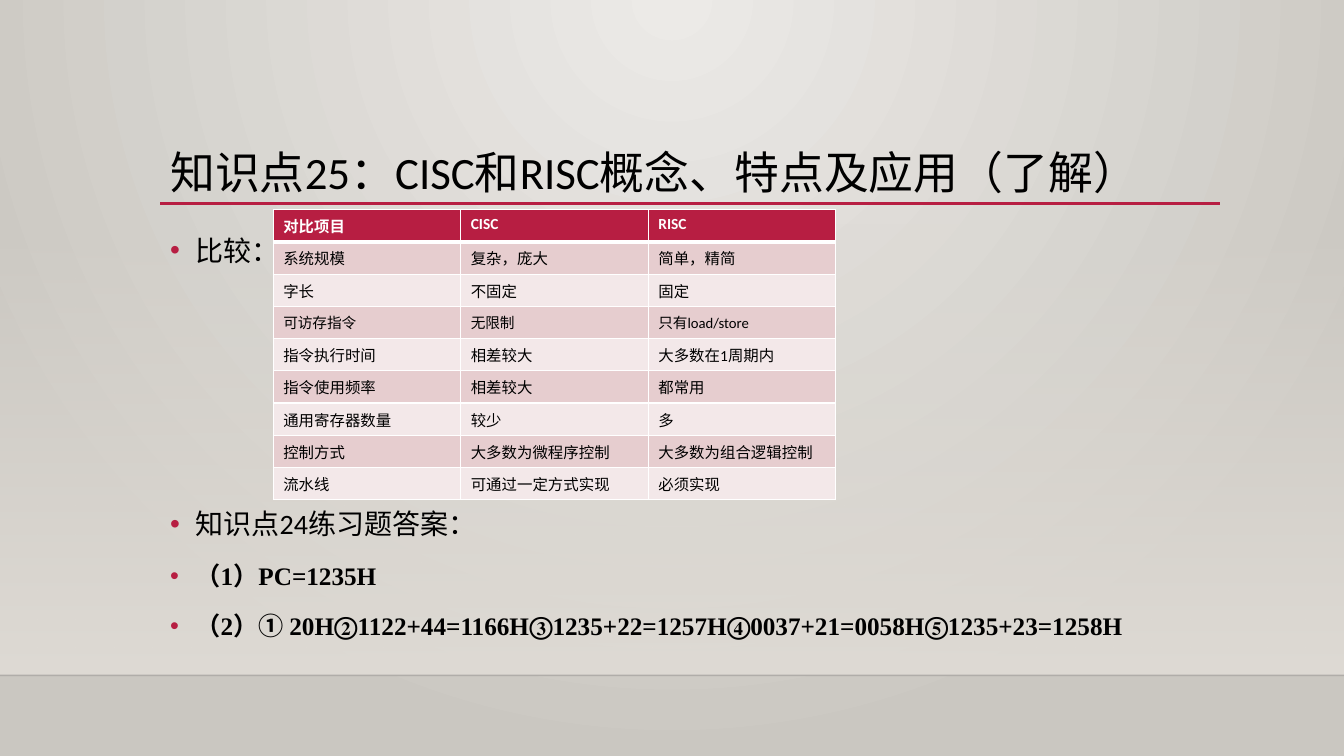
from lxml.etree import SubElement
from pptx import Presentation
from pptx.dml.color import RGBColor
from pptx.enum.shapes import MSO_CONNECTOR as Connector, MSO_SHAPE as Shape
from pptx.enum.text import MSO_ANCHOR as Anchor, PP_ALIGN as Align
from pptx.oxml.ns import qn
from pptx.util import Inches, Pt

ACCENT, BLACK, WHITE = "B71E42", "000000", "FFFFFF"
BANDS = ("E6CDCF", "F3E8E9")
COMPARISON = [
    ("对比项目", "CISC", "RISC"),
    ("系统规模", "复杂，庞大", "简单，精简"),
    ("字长", "不固定", "固定"),
    ("可访存指令", "无限制", "只有load/store"),
    ("指令执行时间", "相差较大", "大多数在1周期内"),
    ("指令使用频率", "相差较大", "都常用"),
    ("通用寄存器数量", "较少", "多"),
    ("控制方式", "大多数为微程序控制", "大多数为组合逻辑控制"),
    ("流水线", "可通过一定方式实现", "必须实现"),
]
SMALLER_ROW = 3
ANSWERS = [
    "（1）PC=1235H",
    "（2）① 20H②1122+44=1166H③1235+22=1257H④0037+21=0058H⑤1235+23=1258H",
]


def rgb(code):
    return RGBColor.from_string(code)


def write(paragraph, text, size, font="Calibri", color=BLACK, bold=False,
          align=None, line_spacing=None, before=None):
    run = paragraph.add_run()
    run.text = text
    run.font.size, run.font.name, run.font.bold = Pt(size), font, bold
    run.font.color.rgb = rgb(color)
    paragraph.alignment = align
    paragraph.line_spacing = line_spacing
    if before is not None:
        paragraph.space_before = Pt(before)


def add_bullet(paragraph, indent=0.25):
    props = paragraph._p.get_or_add_pPr()
    props.set("marL", str(Inches(indent)))
    props.set("indent", str(-Inches(indent)))
    color = SubElement(props, qn("a:buClr"))
    SubElement(color, qn("a:srgbClr"), val=ACCENT)
    SubElement(props, qn("a:buFont"), typeface="Arial")
    SubElement(props, qn("a:buChar"), char="•")


def set_alpha(element, percent):
    """Make the first colour inside the element partly transparent."""
    color = next(element.iter(qn("a:srgbClr")))
    SubElement(color, qn("a:alpha"), val=str(percent * 1000))


def set_gradient(fill, start, end):
    fill.gradient()
    for stop, color, position in zip(fill.gradient_stops, (start, end), (0, 1)):
        stop.color.rgb = rgb(color)
        stop.position = position


def add_frame(slide, left, top, width, height, anchor=Anchor.TOP):
    box = slide.shapes.add_textbox(Inches(left), Inches(top), Inches(width), Inches(height))
    box.text_frame.word_wrap = True
    box.text_frame.vertical_anchor = anchor
    return box.text_frame


def add_rule(slide, left, right, y, color, width):
    rule = slide.shapes.add_connector(
        Connector.STRAIGHT, Inches(left), Inches(y), Inches(right), Inches(y))
    rule.line.color.rgb = rgb(color)
    rule.line.width = Pt(width)
    SubElement(rule._element.spPr, qn("a:effectLst"))
    return rule


def add_backdrop(slide, width, wall_top, floor_top):
    set_gradient(slide.background.fill, "ECEAE7", "CAC7C1")
    gradient = next(slide.element.iter(qn("a:gradFill")))
    gradient.remove(gradient.find(qn("a:lin")))
    glow = SubElement(gradient, qn("a:path"))
    glow.set("path", "circle")
    SubElement(glow, qn("a:fillToRect"), l="43000", t="0", r="43000", b="100000")

    wall = slide.shapes.add_shape(
        Shape.RECTANGLE, 0, Inches(wall_top), Inches(width), Inches(floor_top - wall_top))
    wall.shadow.inherit = False
    wall.line.fill.background()
    set_gradient(wall.fill, "DFDBD5", "DFDBD5")
    wall.fill.gradient_angle = 270
    set_alpha(wall._element.spPr, 0)

    floor_edge = add_rule(slide, 0, width, floor_top, "000001", 1)
    set_alpha(floor_edge._element.spPr, 20)


def add_title(slide, left, top, width, height):
    frame = add_frame(slide, left, top, width, height, Anchor.BOTTOM)
    write(frame.paragraphs[0], "知识点25：CISC和RISC概念、特点及应用（了解）", 32, line_spacing=0.9)
    add_rule(slide, left, 12.1, top + height - 0.01, ACCENT, 2.5)


def add_body(slide, left, top, width, height, answers_offset):
    heading = {"size": 20, "line_spacing": 1.2, "before": 10}
    answer = {**heading, "size": 18, "font": "Times New Roman", "bold": True,
              "align": Align.JUSTIFY}
    blocks = [
        (0, answers_offset, [("比较：", heading)]),
        (answers_offset, height - answers_offset,
         [("知识点24练习题答案：", heading)] + [(text, answer) for text in ANSWERS]),
    ]
    for offset, block_height, lines in blocks:
        frame = add_frame(slide, left, top + offset, width, block_height)
        for index, (text, style) in enumerate(lines):
            paragraph = frame.add_paragraph() if index else frame.paragraphs[0]
            write(paragraph, text, **style)
            add_bullet(paragraph)


def set_borders(cell, bottom):
    props = cell._tc.get_or_add_tcPr()
    sides = (("a:lnL", 1), ("a:lnR", 1), ("a:lnT", 1), ("a:lnB", bottom))
    for index, (side, width) in enumerate(sides):
        border = props.makeelement(qn(side), {"w": str(Pt(width))})
        fill = SubElement(border, qn("a:solidFill"))
        SubElement(fill, qn("a:srgbClr"), val=WHITE)
        props.insert(index, border)


def add_comparison(slide, left, top, width, row_height):
    rows, columns = len(COMPARISON), len(COMPARISON[0])
    table = slide.shapes.add_table(
        rows, columns, Inches(left), Inches(top),
        Inches(width), Inches(row_height * rows)).table
    for row, values in enumerate(COMPARISON):
        header = row == 0
        for column, text in enumerate(values):
            cell = table.cell(row, column)
            cell.fill.solid()
            cell.fill.fore_color.rgb = rgb(ACCENT if header else BANDS[(row - 1) % 2])
            set_borders(cell, bottom=3 if header else 1)
            write(cell.text_frame.paragraphs[0], text,
                  10.5 if row == SMALLER_ROW else 11,
                  color=WHITE if header else BLACK, bold=header)


def main():
    deck = Presentation()
    deck.slide_width, deck.slide_height = Inches(13.33), Inches(7.5)
    slide = deck.slides.add_slide(deck.slide_layouts[6])
    add_backdrop(slide, 13.33, wall_top=2.21, floor_top=6.7)
    add_title(slide, 1.59, 0.88, 10.5, 1.15)
    add_body(slide, 1.59, 2.2, 10.5, 4.42, answers_offset=2.71)
    add_comparison(slide, 2.71, 2.08, 5.58, row_height=0.32)
    deck.save("out.pptx")


if __name__ == "__main__":
    main()
